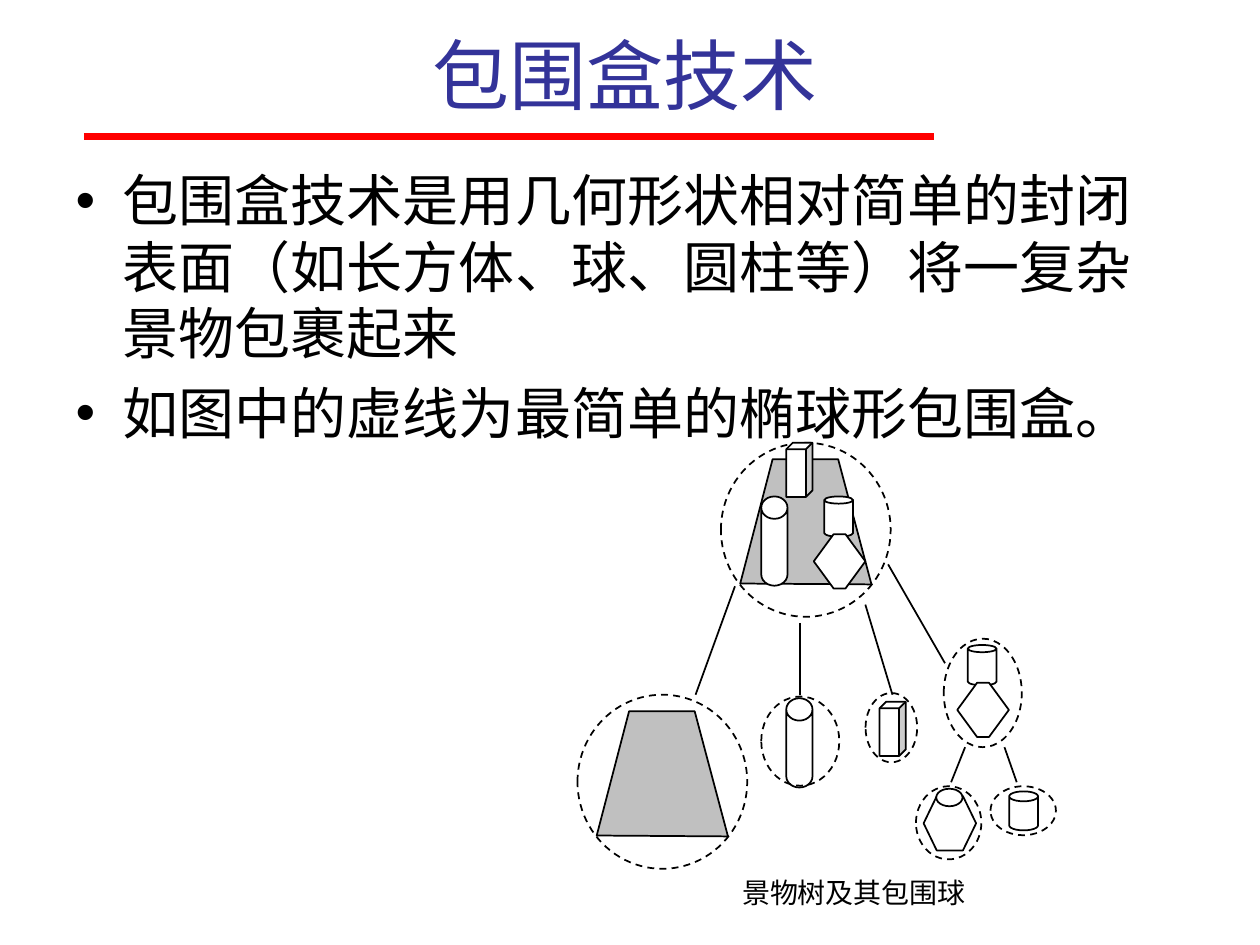
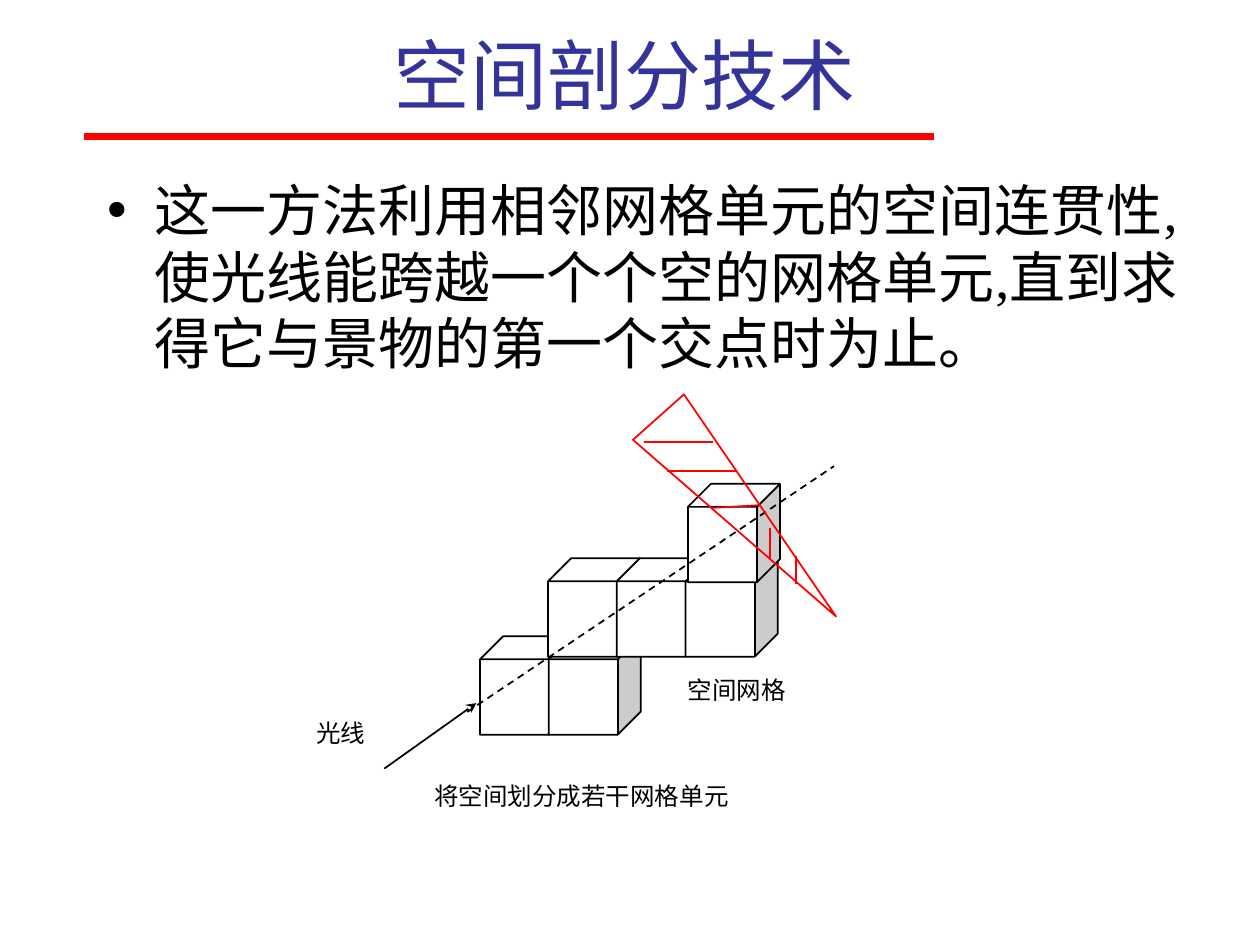
from lxml import etree
from pptx import Presentation
from pptx.dml.color import RGBColor
from pptx.enum.dml import MSO_LINE
from pptx.enum.shapes import MSO_CONNECTOR, MSO_SHAPE
from pptx.enum.text import MSO_ANCHOR, MSO_AUTO_SIZE, PP_ALIGN
from pptx.oxml.ns import qn
from pptx.util import Pt

BLACK = RGBColor(0x00, 0x00, 0x00)
WHITE = RGBColor(0xFF, 0xFF, 0xFF)
GRAY = RGBColor(0xC0, 0xC0, 0xC0)
RED = RGBColor(0xFF, 0x00, 0x00)
BLUE = RGBColor(0x33, 0x33, 0x99)

SANS, SERIF, HAN = "Arial", "Times New Roman", "Noto Sans CJK SC"
CAN, CUBE, HEX = MSO_SHAPE.CAN, MSO_SHAPE.CUBE, MSO_SHAPE.HEXAGON
OVAL, WEDGE = MSO_SHAPE.OVAL, MSO_SHAPE.ISOSCELES_TRIANGLE
STRAIGHT, DASH = MSO_CONNECTOR.STRAIGHT, MSO_LINE.DASH
LEFT, CENTER = PP_ALIGN.LEFT, PP_ALIGN.CENTER
TOP, MIDDLE = MSO_ANCHOR.TOP, MSO_ANCHOR.MIDDLE


def write(frame, lines, size=14, font=SERIF, color=BLACK, align=LEFT,
          anchor=TOP, pitch=None, gap=0):
    """Fill a text frame with one paragraph per line."""
    frame.word_wrap = True
    frame.auto_size = MSO_AUTO_SIZE.NONE
    frame.vertical_anchor = anchor
    for i, line in enumerate(lines):
        para = frame.add_paragraph() if i else frame.paragraphs[0]
        para.alignment = align
        para.space_before = Pt(gap if i else 0)
        if pitch:
            para.line_spacing = Pt(pitch)
        run = para.add_run()
        run.text = line
        run.font.size = Pt(size)
        run.font.name = font
        run.font.color.rgb = color
        east = etree.SubElement(run._r.get_or_add_rPr(), qn("a:ea"))
        east.set("typeface", HAN)


def place(shape, x, y, w, h):
    shape.left, shape.top, shape.width, shape.height = map(Pt, (x, y, w, h))


class Pen:
    """Draws on a slide, with all places relative to a box corner."""

    def __init__(self, slide, x=0, y=0):
        self.shapes, self.x, self.y = slide.shapes, x, y

    def spot(self, x, y):
        return Pt(self.x + x), Pt(self.y + y)

    def style(self, shape, fill, color=BLACK, dash=None):
        shape.shadow.inherit = False
        if fill is None:
            shape.fill.background()
        else:
            shape.fill.solid()
            shape.fill.fore_color.rgb = fill
        shape.line.color.rgb = color
        shape.line.width = Pt(1)
        if dash:
            shape.line.dash_style = dash

    def solid(self, kind, x, y, w, h, adj=None, fill=WHITE, turn=0, **look):
        shape = self.shapes.add_shape(kind, *self.spot(x, y), Pt(w), Pt(h))
        if adj is not None:
            shape.adjustments[0] = adj
        shape.rotation = turn
        self.style(shape, fill, **look)

    def line(self, x1, y1, x2, y2, color=BLACK, width=1, dash=None, tip=None):
        link = self.shapes.add_connector(
            STRAIGHT, *self.spot(x1, y1), *self.spot(x2, y2))
        link.line.color.rgb = color
        link.line.width = Pt(width)
        if dash:
            link.line.dash_style = dash
        if tip:
            end = etree.SubElement(link.line._get_or_add_ln(), qn("a:tailEnd"))
            end.set("type", tip)
        etree.SubElement(link._element.spPr, qn("a:effectLst"))

    def outline(self, points, fill):
        first, *rest = [self.spot(*p) for p in points]
        maker = self.shapes.build_freeform(*first, scale=1.0)
        maker.add_line_segments(rest, close=True)
        self.style(maker.convert_to_shape(), fill)

    def label(self, text, x, y, w, h, **fmt):
        box = self.shapes.add_textbox(*self.spot(x, y), Pt(w), Pt(h))
        write(box.text_frame, [text], **fmt)


def frame(deck, title, items, box):
    """Title, red rule and list, shared by the slides."""
    slide = deck.slides.add_slide(deck.slide_layouts[1])
    head, body = slide.placeholders
    place(head, 12, 6, 690, 72)
    write(head.text_frame, [title], size=44, font=SANS, color=BLUE,
          align=CENTER, anchor=MIDDLE)
    place(body, *box)
    body.text_frame.margin_top = Pt(6.6)
    write(body.text_frame, items, size=32, pitch=38, gap=7.6)
    Pen(slide).line(48, 78, 534, 78, color=RED, width=4)
    return slide


def scene(pen, x, y):
    """Large sphere around the gray base."""
    pen.solid(OVAL, x, y, 97, 99.5, dash=DASH)
    base = [(11, 80.5), (29.5, 9.5), (67, 9.5), (86, 81)]
    pen.outline([(x + dx, y + dy) for dx, dy in base], GRAY)


def pillar(pen, x, y):
    pen.solid(CAN, x, y, 15, 51, 0.854)


def block(pen, x, y):
    pen.solid(CUBE, x, y, 15, 31, 0.25)


def vase(pen, x, y):
    """Short can standing on a hexagon."""
    pen.solid(CAN, x, y, 16.5, 23, 0.25)
    pen.solid(HEX, x - 6, y + 21.6, 29.5, 31, 0.385)


def tree(slide, x, y):
    """Scene tree with its dashed bounding spheres."""
    pen = Pen(slide, x, y)
    # Links
    for ends in [(90, 82, 67.5, 144), (127, 103, 127, 144),
                 (164.5, 92.5, 180, 144), (177.5, 69.5, 210, 126),
                 (221.5, 174, 213.5, 194), (244, 174, 251, 194)]:
        pen.line(*ends)
    # Root
    scene(pen, 82, 0)
    pillar(pen, 105, 30.7)
    block(pen, 119.3, 0)
    vase(pen, 141, 30.7)
    # Children
    scene(pen, 0, 144)
    pillar(pen, 119.3, 146)
    block(pen, 172.6, 148)
    vase(pen, 223, 115.6)
    # Leaves of the vase
    pen.solid(CAN, 246.7, 199.2, 16.5, 22.3, 0.345)
    pen.solid(HEX, 197.8, 202, 30, 31, 0.25)
    pen.solid(OVAL, 205, 197.7, 15, 10)
    # Small spheres
    for ring in [(105, 145, 44.6, 51), (164.6, 143, 29.5, 39.6),
                 (209.3, 112, 44.6, 62), (236, 196.3, 37.4, 28),
                 (193.4, 196.3, 37.4, 41.8)]:
        pen.solid(OVAL, *ring, fill=None, dash=DASH)
    pen.label("景物树及其包围球", 87, 244, 173.5, 29, size=16, font=HAN)


def grid(slide, x, y):
    """Ray crossing the cells of a space grid up to a red surface."""
    pen = Pen(slide, x, y)
    # Rows of cells, each as left, top and count
    step = 39.3
    for left, top, count in [(107.3, 144.6, 2), (146.2, 100, 3),
                             (226.1, 57.5, 1)]:
        for i in range(count):
            pen.solid(CUBE, left + i * step, top, 52.6, 56.2, 0.25)
    # Ray
    pen.line(52.6, 220.2, 105.2, 182.8, tip="stealth")
    pen.line(100, 187.8, 309.6, 47.4, dash=DASH)
    # Surface with hatching
    pen.solid(WEDGE, 240.5, 0, 39, 152.6, 0.5, fill=None, turn=138.3,
              color=RED)
    for ends in [(201, 33.7, 240.5, 33.7), (214, 50.3, 253.5, 50.3),
                 (240.5, 71.2, 266.4, 69.7), (273, 100, 273, 82.7),
                 (288, 98.5, 288, 115)]:
        pen.line(*ends, color=RED)
    # Labels
    pen.label("光线", 6.5, 188, 70, 40)
    pen.label("空间网格", 219, 163, 100, 40)
    pen.label("将空间划分成若干网格单元", 74, 224, 260, 40)


def main():
    deck = Presentation()
    deck.slide_width, deck.slide_height = Pt(720), Pt(540)
    slide = frame(deck, "包围盒技术", [
        "包围盒技术是用几何形状相对简单的封闭表面（如长方体、球、圆柱等）将一复杂景物包裹起来",
        "如图中的虚线为最简单的椭球形包围盒。",
    ], (36, 88.6, 648, 394))
    tree(slide, 330, 253)
    slide = frame(deck, "空间剖分技术", [
        "这一方法利用相邻网格单元的空间连贯性,使光线能跨越一个个空的网格单元,"
        "直到求得它与景物的第一个交点时为止。",
    ], (54, 94.3, 648, 376.5))
    grid(slide, 167, 219)
    deck.save("out.pptx")


if __name__ == "__main__":
    main()
